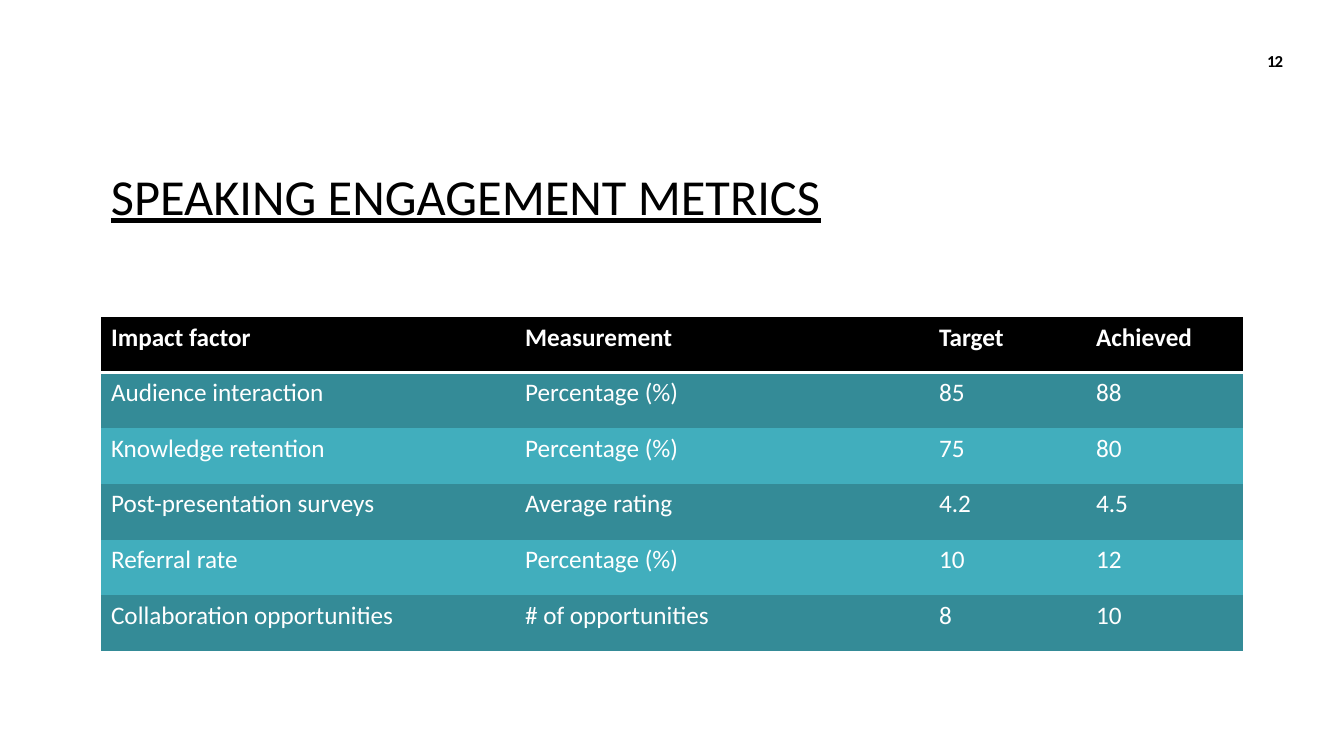
import pptx
import pptx.dml.color
import pptx.enum.text
import pptx.oxml
import pptx.oxml.ns
import pptx.util

PX = 914400 / 100.8
FONT = "Calibri"
BLACK = pptx.dml.color.RGBColor(0x00, 0x00, 0x00)
WHITE = pptx.dml.color.RGBColor(0xFF, 0xFF, 0xFF)
DARK_TEAL = pptx.dml.color.RGBColor(0x34, 0x8B, 0x97)
LIGHT_TEAL = pptx.dml.color.RGBColor(0x41, 0xAE, 0xBD)
NO_STYLE = "{2D5ABB26-0587-4C30-8999-92F81FD0307C}"
HEADER_RULE = (
    f'<a:lnB {pptx.oxml.ns.nsdecls("a")} w="25400">'
    f'<a:solidFill><a:srgbClr val="{WHITE}"/></a:solidFill></a:lnB>'
)

METRICS = [
    ("Impact factor", "Measurement", "Target", "Achieved"),
    ("Audience interaction", "Percentage (%)", "85", "88"),
    ("Knowledge retention", "Percentage (%)", "75", "80"),
    ("Post-presentation surveys", "Average rating", "4.2", "4.5"),
    ("Referral rate", "Percentage (%)", "10", "12"),
    ("Collaboration opportunities", "# of opportunities", "8", "10"),
]
COLUMN_WIDTHS = [414, 414, 157, 157]


def px(length):
    return pptx.util.Emu(round(length * PX))


def add_span(para, text, size, color, bold=False):
    span = para.add_run()
    span.text = text
    span.font.name = FONT
    span.font.size = pptx.util.Pt(size)
    span.font.bold = bold
    span.font.color.rgb = color
    return span


deck = pptx.Presentation()
deck.slide_width = px(1344)
deck.slide_height = px(756)
page = deck.slides.add_slide(deck.slide_layouts[6])

title_box = page.shapes.add_textbox(px(101), px(101), px(1142), px(130))
title_box.text_frame.word_wrap = True
title_box.text_frame.vertical_anchor = pptx.enum.text.MSO_ANCHOR.BOTTOM
title_para = title_box.text_frame.paragraphs[0]
title_para.line_spacing = 0.9
title_span = add_span(title_para, "SPEAKING ENGAGEMENT METRICS", 36, BLACK)
title_span.font.underline = True

number_box = page.shapes.add_textbox(px(1174), px(51), px(119), px(49))
number_box.text_frame.word_wrap = True
number_box.text_frame.margin_top = 0
number_para = number_box.text_frame.paragraphs[0]
number_para.alignment = pptx.enum.text.PP_ALIGN.RIGHT
number_span = add_span(number_para, "12", 12, BLACK, bold=True)
number_span.font._element.set("spc", "-80")

table_frame = page.shapes.add_table(
    len(METRICS), len(COLUMN_WIDTHS), px(101), px(317), px(sum(COLUMN_WIDTHS)), px(334)
)
table = table_frame.table
table.horz_banding = False
table._tbl.tblPr.find(pptx.oxml.ns.qn("a:tableStyleId")).text = NO_STYLE
for column, width in zip(table.columns, COLUMN_WIDTHS):
    column.width = px(width)

for row_index, metric in enumerate(METRICS):
    is_header = row_index == 0
    row_color = BLACK if is_header else (LIGHT_TEAL, DARK_TEAL)[row_index % 2]
    for column_index, text in enumerate(metric):
        cell = table.cell(row_index, column_index)
        cell.fill.solid()
        cell.fill.fore_color.rgb = row_color
        add_span(cell.text_frame.paragraphs[0], text, 18, WHITE, bold=is_header)
        if is_header:
            cell._tc.get_or_add_tcPr().insert(0, pptx.oxml.parse_xml(HEADER_RULE))

deck.save("out.pptx")
